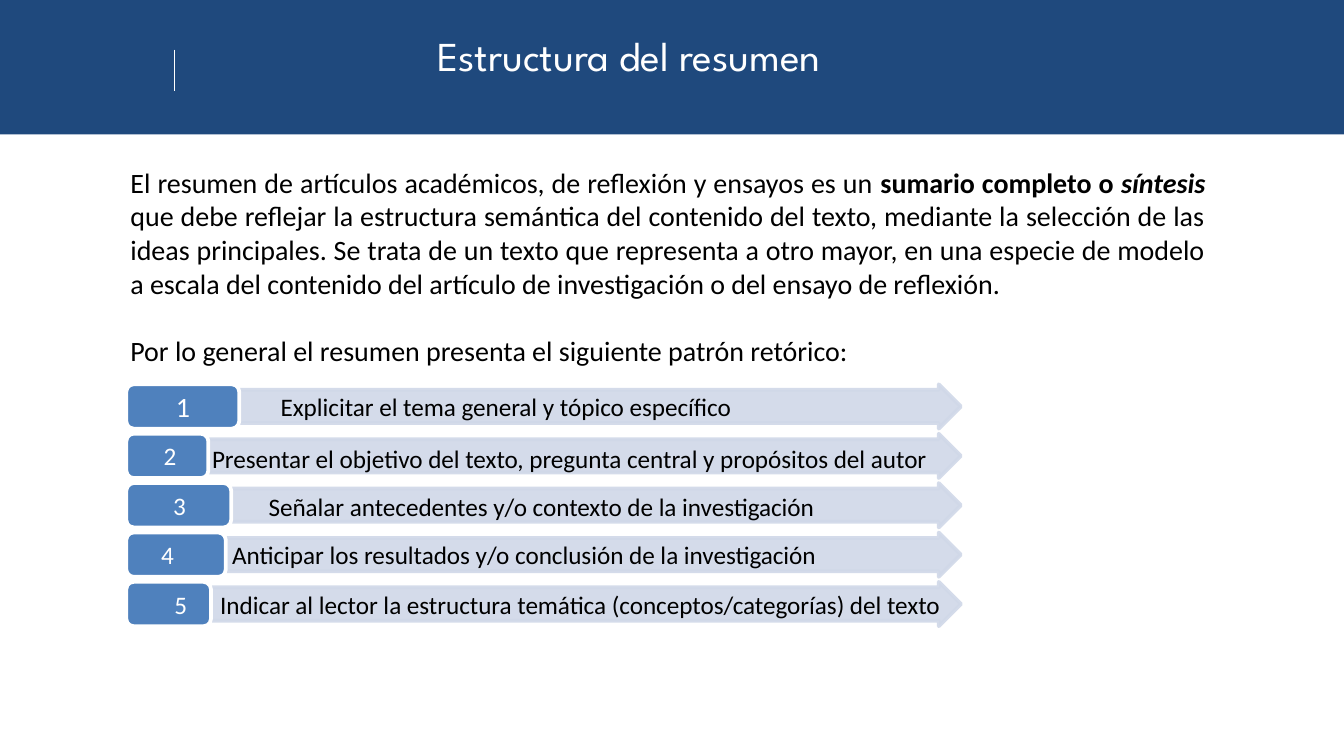
from lxml.etree import SubElement
from pptx import Presentation
from pptx.dml.color import RGBColor
from pptx.enum.shapes import MSO_CONNECTOR, MSO_SHAPE
from pptx.enum.text import MSO_ANCHOR, MSO_AUTO_SIZE, PP_ALIGN
from pptx.oxml.ns import qn
from pptx.util import Inches, Pt

COLORS = {"band": "1F497D", "badge": "4F81BD", "arrow": "D0D8E8",
          "white": "FFFFFF", "black": "000000"}

DEFINITION = [  # text, bold, italic
    ("El resumen de artículos académicos, de reflexión y ensayos es un ", False, False),
    ("sumario completo o ", True, False),
    ("síntesis ", True, True),
    ("que debe reflejar la estructura semántica del contenido del texto, mediante la "
     "selección de las ideas principales. Se trata de un texto que representa a otro mayor, "
     "en una especie de modelo a escala del contenido del artículo de investigación o del "
     "ensayo de reflexión.", False, False),
]
LEAD_IN = "Por lo general el resumen presenta el siguiente patrón retórico:"

STEPS = [  # badge width, number left, number size, label left, label drop, label
    (0.84, 1.21, 15, 1.99, 0, "Explicitar el tema general y tópico específico"),
    (0.61, 1.12, 13.5, 1.48, 0.02,
     "Presentar el objetivo del texto, pregunta central y propósitos del autor"),
    (0.78, 1.19, 13.5, 1.9, 0.01, "Señalar antecedentes y/o contexto de la investigación"),
    (0.74, 1.1, 13.5, 1.63, 0, "Anticipar los resultados y/o conclusión de la investigación"),
    (0.63, 1.2, 13.5, 1.54, 0,
     "Indicar al lector la estructura temática (conceptos/categorías) del texto"),
]


def color(name):
    return RGBColor.from_string(COLORS[name])


def style(paragraph, size, ink, font="Calibri"):
    paragraph.font.size = Pt(size)
    paragraph.font.name = font
    paragraph.font.color.rgb = color(ink)


def place(shape, left, top, width, height):
    shape.left, shape.top = Inches(left), Inches(top)
    shape.width, shape.height = Inches(width), Inches(height)


def add_block(page, kind, box, fill, line=None):
    shape = page.shapes.add_shape(kind, *map(Inches, box))
    shape.shadow.inherit = False
    shape.fill.solid()
    shape.fill.fore_color.rgb = color(fill)
    if line:
        shape.line.color.rgb = color(line)
        shape.line.width = Pt(2)
    else:
        shape.line.fill.background()
    return shape


def add_label(page, box, text, size, ink):
    label = page.shapes.add_textbox(*map(Inches, box))
    frame = label.text_frame
    frame.word_wrap = True
    frame.vertical_anchor = MSO_ANCHOR.MIDDLE
    frame.text = text
    style(frame.paragraphs[0], size, ink)


def add_header(page, box):
    left, top, width, height = box
    add_block(page, MSO_SHAPE.RECTANGLE, box, "band")
    # Thin white divider
    x = left + 0.13 * width
    rule = page.shapes.add_connector(
        MSO_CONNECTOR.STRAIGHT, Inches(x), Inches(top + 0.37 * height),
        Inches(x), Inches(top + 0.68 * height))
    rule.line.color.rgb = color("white")
    rule.line.width = Pt(0.75)
    SubElement(rule.element.spPr, qn("a:effectLst"))
    # Title, brought in front of the band
    title = page.shapes.title
    page.shapes.element.append(title.element)
    place(title, left + 0.224 * width, top + 0.18 * height, 0.488 * width, 0.47 * height)
    frame = title.text_frame
    frame.auto_size = MSO_AUTO_SIZE.NONE
    frame.vertical_anchor = MSO_ANCHOR.TOP
    frame.text = "Estructura del resumen"
    frame.paragraphs[0].alignment = PP_ALIGN.CENTER
    style(frame.paragraphs[0], 22, "white", "League Spartan")


def add_intro(page, box):
    body = page.placeholders[1]
    place(body, *box)
    frame = body.text_frame
    frame.auto_size = MSO_AUTO_SIZE.NONE
    definition, lead_in = frame.paragraphs[0], frame.add_paragraph()
    for paragraph, gap in ((definition, 0), (lead_in, 18)):
        properties = paragraph._p.get_or_add_pPr()
        properties.set("marL", "0")
        properties.set("indent", "0")
        SubElement(properties, qn("a:buNone"))
        paragraph.space_before = Pt(gap)
        style(paragraph, 15, "black")
    definition.alignment = PP_ALIGN.JUSTIFY
    for text, bold, italic in DEFINITION:
        span = definition.add_run()
        span.text = text
        span.font.bold, span.font.italic = bold, italic
    lead_in.add_run().text = LEAD_IN


def add_steps(page, box):
    left, top, width, height = box
    row_height = 0.33
    pitch = (height - row_height) / (len(STEPS) - 1)
    rows = [(top + index * pitch, step) for index, step in enumerate(STEPS)]
    # Arrows and number badges
    for y, (badge_width, *_) in rows:
        arrow = add_block(page, MSO_SHAPE.RIGHT_ARROW,
                          (left + badge_width, y, width - badge_width, row_height),
                          "arrow", "arrow")
        arrow.adjustments[0] = 0.75
        for tone in arrow.element.spPr.iter(qn("a:srgbClr")):
            SubElement(tone, qn("a:alpha")).set("val", "90000")
        add_block(page, MSO_SHAPE.ROUNDED_RECTANGLE,
                  (left, y, badge_width, row_height), "badge", "white")
    # Numbers and step labels
    for number, (y, step) in enumerate(rows, 1):
        _, number_left, size, label_left, drop, text = step
        add_label(page, (number_left, y, 0.6, row_height), str(number), size, "white")
        add_label(page, (label_left, y + drop, 6, row_height), text, 13.5, "black")


def main():
    deck = Presentation()
    deck.slide_width = Inches(10)
    deck.slide_height = deck.slide_width * 9 // 16
    page = deck.slides.add_slide(deck.slide_layouts[1])
    add_intro(page, (0.87, 1.18, 8.2, 1.65))
    add_steps(page, (0.94, 2.86, 6.21, 1.8))
    add_header(page, (0, 0, 10, 1))
    deck.save("out.pptx")


if __name__ == "__main__":
    main()
